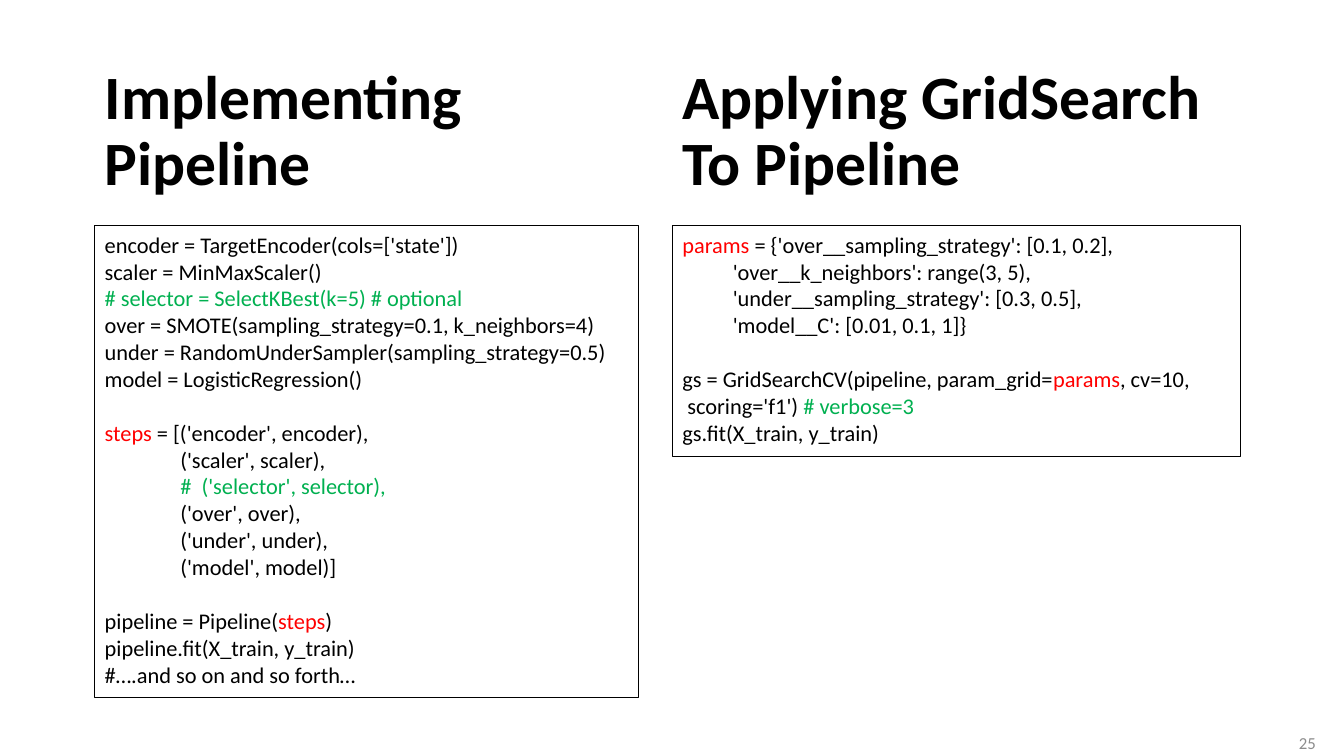
from dataclasses import dataclass

from pptx import Presentation
from pptx.dml.color import RGBColor
from pptx.enum.shapes import MSO_SHAPE
from pptx.enum.text import MSO_ANCHOR, PP_ALIGN
from pptx.util import Inches, Pt

RECT = MSO_SHAPE.RECTANGLE
TOP, MIDDLE = MSO_ANCHOR.TOP, MSO_ANCHOR.MIDDLE
LEFT, RIGHT = PP_ALIGN.LEFT, PP_ALIGN.RIGHT


@dataclass(frozen=True)
class Theme:
    font: str = "Calibri"
    black: str = "000000"
    red: str = "FF0000"
    green: str = "00B050"
    gray: str = "8C8C8C"
    title: int = 44
    code: int = 16
    small: int = 12
    gap: float = 19.2  # height of one empty code line, in points


THEME = Theme()
RED, GREEN = THEME.red, THEME.green


@dataclass
class Line:
    """One code line: plain strings are black, pairs carry a colour."""
    chunks: tuple
    indent: float = 0
    gap: bool = False


def line(*chunks, indent=0, gap=False):
    return Line(chunks, indent, gap)


class Board:
    def __init__(self, slide, theme):
        self.slide = slide
        self.theme = theme

    def style(self, run, size, color, bold=False):
        font = run.font
        font.name = self.theme.font
        font.size = Pt(size)
        font.bold = bold
        font.color.rgb = RGBColor.from_string(color)

    def text(self, box, rows, size, color, bold=False, align=LEFT):
        """Add a plain text box, one paragraph per row."""
        frame = self.slide.shapes.add_textbox(*map(Inches, box)).text_frame
        frame.word_wrap = True
        frame.vertical_anchor = MIDDLE
        frame.text = "\n".join(rows)
        for para in frame.paragraphs:
            para.alignment = align
            para.line_spacing = 0.9 if bold else 1.0
            for run in para.runs:
                self.style(run, size, color, bold)

    def title(self, box, *rows):
        self.text(box, rows, self.theme.title, self.theme.black, bold=True)

    def code(self, box, lines):
        """Add an outlined box of coloured code lines."""
        shape = self.slide.shapes.add_shape(RECT, *map(Inches, box))
        shape.shadow.inherit = False
        shape.fill.background()
        shape.line.color.rgb = RGBColor.from_string(self.theme.black)
        shape.line.width = Pt(0.75)
        frame = shape.text_frame
        frame.word_wrap = True
        frame.vertical_anchor = TOP
        for i, row in enumerate(lines):
            para = frame.add_paragraph() if i else frame.paragraphs[0]
            para.alignment = LEFT
            para.space_before = Pt(self.theme.gap if row.gap else 0)
            para._p.get_or_add_pPr().set("marL", str(Inches(row.indent)))
            for chunk in row.chunks:
                plain = isinstance(chunk, str)
                words, color = (chunk, self.theme.black) if plain else chunk
                run = para.add_run()
                run.text = words
                self.style(run, self.theme.code, color)


# Code on the left: building the pipeline
STEP = 0.75
BUILD = [
    line("encoder = TargetEncoder(cols=['state'])"),
    line("scaler = MinMaxScaler()"),
    line(("# selector = SelectKBest(k=5) # optional", GREEN)),
    line("over = SMOTE(sampling_strategy=0.1, k_neighbors=4)"),
    line("under = RandomUnderSampler(sampling_strategy=0.5)"),
    line("model = LogisticRegression()"),
    line(("steps", RED), " = [('encoder', encoder),", gap=True),
    line("('scaler', scaler),", indent=STEP),
    line(("#  ('selector', selector),", GREEN), indent=STEP),
    line("('over', over),", indent=STEP),
    line("('under', under),", indent=STEP),
    line("('model', model)]", indent=STEP),
    line("pipeline = Pipeline(", ("steps", RED), ")", gap=True),
    line("pipeline.fit(X_train, y_train)"),
    line("#….and so on and so forth…"),
]

# Code on the right: searching the grid
PARAM = 0.5
SEARCH = [
    line(("params", RED), " = {'over__sampling_strategy': [0.1, 0.2],"),
    line("'over__k_neighbors': range(3, 5),", indent=PARAM),
    line("'under__sampling_strategy': [0.3, 0.5],", indent=PARAM),
    line("'model__C': [0.01, 0.1, 1]}", indent=PARAM),
    line("gs = GridSearchCV(pipeline, param_grid=", ("params", RED),
         ", cv=10,", gap=True),
    line("scoring='f1') ", ("# verbose=3", GREEN), indent=0.05),
    line("gs.fit(X_train, y_train)"),
]


def main():
    deck = Presentation()
    deck.slide_width, deck.slide_height = Inches(13.33), Inches(7.5)
    board = Board(deck.slides.add_slide(deck.slide_layouts[6]), THEME)

    # Two columns, each a title above a code box
    first, second = 0.94, 6.67
    head, body = 0.59, 2.24
    board.title((first, head, 5.42, 1.45), "Implementing Pipeline")
    board.code((first, body, 5.39, 4.68), BUILD)
    board.title((second, head, 5.42, 1.45), "Applying GridSearch", "To Pipeline")
    board.code((second, body, 5.63, 2.29), SEARCH)

    # Page number
    board.text((10.15, 7.17, 3, 0.4), ["25"], THEME.small, THEME.gray,
               align=RIGHT)

    deck.save("out.pptx")


if __name__ == "__main__":
    main()
